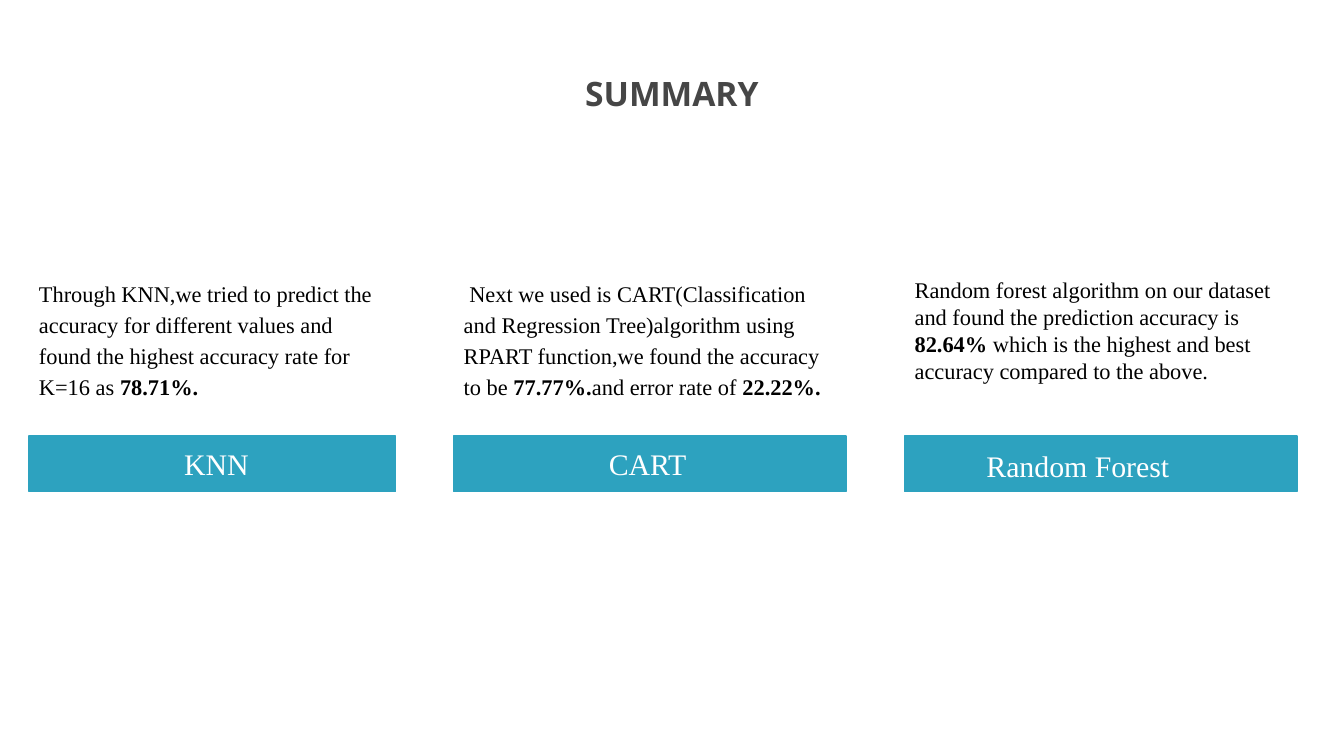
import pptx
import pptx.dml.color
import pptx.enum.shapes
import pptx.enum.text
import pptx.util

PX = 4572
SERIF = "Times New Roman"
ANCHOR = pptx.enum.text.MSO_ANCHOR
COLUMNS = [
    {
        "left": 43, "width": 546, "label": "KNN", "label_insets": (231, 8),
        "line_spacing": 1.15, "space_before": 3,
        "runs": [
            ("Through KNN,we tried to predict the accuracy for different values "
             "and found the highest accuracy rate for K=16 as ", False),
            ("78.71%.", True),
        ],
    },
    {
        "left": 675, "width": 584, "label": "CART", "label_insets": (231, 8),
        "line_spacing": 1.15, "space_before": 0,
        "runs": [
            (" Next we used is CART(Classification and Regression Tree)algorithm "
             "using RPART function,we found the accuracy to be", False),
            (" 77.77%.", True),
            ("and error rate of ", False),
            ("22.22%.", True),
        ],
    },
    {
        "left": 1346, "width": 584, "label": "Random Forest", "label_insets": (122, 14),
        "line_spacing": 1.0, "space_before": 0,
        "runs": [
            ("Random forest algorithm on our dataset and found the prediction "
             "accuracy is ", False),
            ("82.64%", True),
            (" which is the highest and best accuracy compared to the above.", False),
        ],
    },
]


def px(*lengths):
    """Turn px lengths into EMU."""
    return [pptx.util.Emu(length * PX) for length in lengths]


def color(hex_value):
    """Return the colour for a hex string."""
    return pptx.dml.color.RGBColor.from_string(hex_value)


def set_frame(shape, anchor, left=15, top=8):
    """Set wrapping, anchor and insets, and return the first paragraph."""
    frame = shape.text_frame
    frame.word_wrap = True
    frame.vertical_anchor = anchor
    frame.margin_left, frame.margin_top, frame.margin_right, frame.margin_bottom = px(
        left, top, 15, 8)
    return frame.paragraphs[0]


def set_font(paragraph, name, size, hex_value):
    """Set the font shared by all runs of a paragraph."""
    paragraph.font.name = name
    paragraph.font.size = pptx.util.Pt(size)
    paragraph.font.color.rgb = color(hex_value)


def add_title(slide, left, top, width, height):
    """Add the centred slide title."""
    box = slide.shapes.add_textbox(*px(left, top, width, height))
    paragraph = set_frame(box, ANCHOR.MIDDLE)
    paragraph.text = "SUMMARY"
    paragraph.alignment = pptx.enum.text.PP_ALIGN.CENTER
    set_font(paragraph, "Open Sans", 18, "464646")
    paragraph.font.bold = True


def add_description(slide, column, left, top, width, height):
    """Add the result text of one algorithm."""
    box = slide.shapes.add_textbox(*px(left, top, width, height))
    paragraph = set_frame(box, ANCHOR.TOP)
    paragraph.line_spacing = column["line_spacing"]
    paragraph.space_before = pptx.util.Pt(column["space_before"])
    set_font(paragraph, SERIF, 12, "000000")
    for text, bold in column["runs"]:
        run = paragraph.add_run()
        run.text = text
        run.font.bold = bold


def add_label(slide, column, left, top, width, height):
    """Add the coloured bar naming one algorithm."""
    bar = slide.shapes.add_shape(
        pptx.enum.shapes.MSO_SHAPE.RECTANGLE, *px(left, top, width, height))
    bar.shadow.inherit = False
    bar.fill.solid()
    bar.fill.fore_color.rgb = color("2DA2BF")
    bar.line.color.rgb = color("2DA2BF")
    bar.line.width = pptx.util.Pt(0.75)
    paragraph = set_frame(bar, ANCHOR.MIDDLE, *column["label_insets"])
    paragraph.text = column["label"]
    paragraph.alignment = pptx.enum.text.PP_ALIGN.LEFT
    paragraph.space_before = pptx.util.Pt(3)
    set_font(paragraph, SERIF, 16, "FFFFFF")


def add_column(slide, column, left, top, width, height):
    """Add one algorithm's description with its label bar below."""
    bar_height = 83
    text_height = height - bar_height
    add_description(slide, column, left, top, width, text_height)
    add_label(slide, column, left, top + text_height, width, bar_height)


def main():
    """Build and save the summary slide."""
    presentation = pptx.Presentation()
    presentation.slide_width, presentation.slide_height = px(2000, 1125)
    slide = presentation.slides.add_slide(presentation.slide_layouts[6])
    add_title(slide, 100, 44, 1800, 188)
    for column in COLUMNS:
        add_column(slide, column, column["left"], 403, column["width"], 329)
    presentation.save("out.pptx")


if __name__ == "__main__":
    main()
